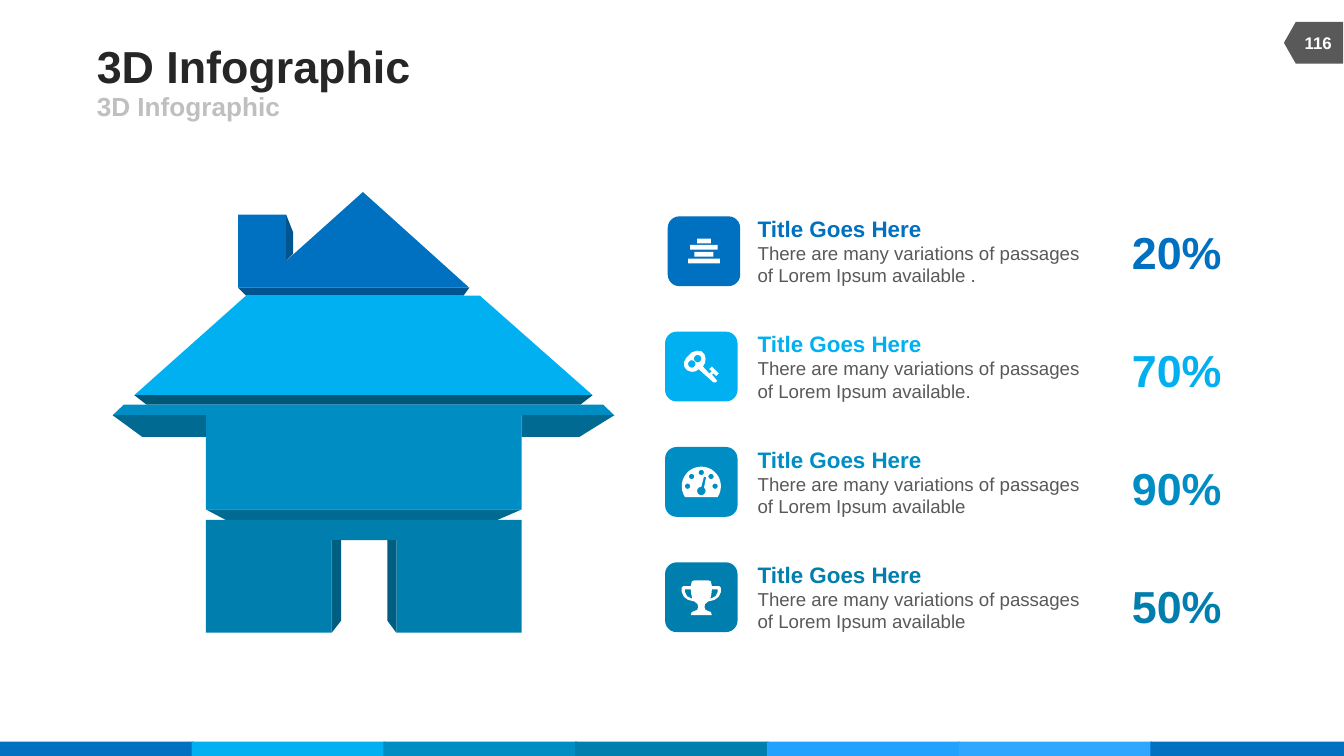
from dataclasses import dataclass
from math import cos, radians, sin

from pptx import Presentation
from pptx.dml.color import RGBColor
from pptx.enum.shapes import MSO_SHAPE
from pptx.enum.text import MSO_ANCHOR, PP_ALIGN
from pptx.util import Cm, Pt


@dataclass(frozen=True)
class Theme:
    font: str = "Arial"
    blue: str = "0070C0"
    blue_shade: str = "005490"
    sky: str = "00B0F0"
    sky_shade: str = "005878"
    ocean: str = "008DC3"
    ocean_shade: str = "006A92"
    teal: str = "007EAE"
    teal_shade: str = "005E82"
    azure: str = "23A1FF"
    azure_light: str = "2FA6FF"
    ink: str = "262626"
    body: str = "595959"
    muted: str = "BFBFBF"
    white: str = "FFFFFF"
    headline_size: int = 24
    subtitle_size: int = 14
    heading_size: int = 12
    body_size: int = 10
    number_size: int = 9


THEME = Theme()
SLIDE_W, SLIDE_H = 25.4, 14.29


def arc(x, y, radius, start=0, end=360, steps=24):
    """Points along a circular arc; angles in degrees, clockwise from the right."""
    angles = [radians(start + (end - start) * i / steps) for i in range(steps + 1)]
    return [(x + radius * cos(a), y + radius * sin(a)) for a in angles]


def mirror(points):
    return [(-x, y) for x, y in reversed(points)]


# Icons: outlines in cm around the centre of their tile
BOOKS = [
    [(-half, top), (half, top), (half, top + 0.09), (-half, top + 0.09)]
    for half, top in [(0.13, -0.24), (0.26, -0.12), (0.18, 0.01), (0.3, 0.14)]
]
KEY = [
    [(-0.05, 0.05), (0.23, 0.3), (0.27, 0.3), (0.3, 0.27), (0.2, 0.15),
     (0.23, 0.13), (0.28, 0.18), (0.33, 0.13), (0.2, 0), (0.15, 0.05),
     (0.2, 0.09), (0.15, 0.13), (0.03, 0), (0.07, -0.07), (0.08, -0.15),
     (0.06, -0.23), (0, -0.29), (-0.08, -0.3), (-0.18, -0.27), (-0.28, -0.17),
     (-0.33, -0.08), (-0.32, 0.01), (-0.27, 0.07), (-0.18, 0.1), (-0.11, 0.09)],
    arc(-0.07, -0.15, 0.07),
    arc(-0.18, -0.05, 0.07),
]
GAUGE = [
    arc(0, 0.08, 0.37, 146, 394),
    *[arc(x, y, 0.05) for x, y in arc(0, 0.08, 0.26, 180, 360, steps=4)],
    arc(0, 0.17, 0.08, -50, 270) + [(0.05, -0.1), (0.09, -0.09)],
]
CUP_HALF = [
    (0.13, -0.32), (0.18, -0.3), (0.2, -0.21), (0.34, -0.21), (0.37, -0.18),
    (0.37, -0.1), (0.33, -0.01), (0.25, 0.05), (0.13, 0.08), (0.07, 0.13),
    (0.06, 0.19), (0.08, 0.24), (0.13, 0.26), (0.18, 0.28), (0.2, 0.34),
]
HANDLE = [(0.2, -0.15), (0.31, -0.15), (0.31, -0.1), (0.27, -0.02),
          (0.17, 0.03), (0.19, -0.06)]
TROPHY = [CUP_HALF + mirror(CUP_HALF), HANDLE, mirror(HANDLE)]

TITLE = SUBTITLE = "3D Infographic"
PAGE_NUMBER = "116"
HEADING = "Title Goes Here"
PASSAGE = "There are many variations of passages of Lorem Ipsum available"
# colour, text, share, icon, left edge of the tile
ITEMS = [
    (THEME.blue, PASSAGE + " .", "20%", BOOKS, 12.62),
    (THEME.sky, PASSAGE + ".", "70%", KEY, 12.57),
    (THEME.ocean, PASSAGE, "90%", GAUGE, 12.57),
    (THEME.teal, PASSAGE, "50%", TROPHY, 12.57),
]
FOOTER = [THEME.blue, THEME.sky, THEME.ocean, THEME.teal,
          THEME.azure, THEME.azure_light, THEME.blue]

# House: colour and outline in cm, from the chimney down to the door
HOUSE = [
    (THEME.blue, [(8.87, 5.44), (4.5, 5.44), (4.5, 4.06), (5.41, 4.06),
                  (5.41, 4.93), (6.86, 3.63)]),
    (THEME.blue_shade, [(5.54, 4.8), (5.41, 4.93), (5.41, 4.06), (5.54, 4.39)]),
    (THEME.blue_shade, [(4.5, 5.44), (8.87, 5.44), (8.76, 5.59), (4.65, 5.59)]),
    (THEME.sky, [(4.65, 5.59), (9.07, 5.59), (11.2, 7.47), (2.54, 7.47)]),
    (THEME.sky_shade, [(2.54, 7.47), (11.2, 7.47), (10.97, 7.65), (2.77, 7.65)]),
    (THEME.ocean, [(2.34, 7.65), (11.4, 7.65), (11.61, 7.85), (9.86, 7.85),
                   (9.86, 9.63), (3.89, 9.63), (3.89, 7.85), (2.13, 7.85)]),
    (THEME.ocean_shade, [(2.13, 7.85), (3.89, 7.85), (3.89, 8.26), (2.69, 8.26)]),
    (THEME.ocean_shade, [(9.86, 7.85), (11.61, 7.85), (10.95, 8.26), (9.86, 8.26)]),
    (THEME.ocean_shade, [(3.89, 9.63), (9.86, 9.63), (9.4, 9.83), (4.27, 9.83)]),
    (THEME.teal, [(3.89, 9.83), (9.86, 9.83), (9.86, 11.96), (7.49, 11.96),
                  (7.49, 10.21), (6.27, 10.21), (6.27, 11.96), (3.89, 11.96)]),
    (THEME.teal_shade, [(7.32, 10.21), (7.49, 10.21), (7.49, 11.96), (7.32, 11.73)]),
    (THEME.teal_shade, [(6.27, 10.21), (6.45, 10.21), (6.45, 11.73), (6.27, 11.96)]),
]


def paint(shape, color):
    shape.shadow.inherit = False
    shape.fill.solid()
    shape.fill.fore_color.rgb = RGBColor.from_string(color)
    shape.line.fill.background()


def add_block(slide, preset, left, top, width, height, color):
    block = slide.shapes.add_shape(preset, Cm(left), Cm(top), Cm(width), Cm(height))
    paint(block, color)
    return block


def add_outline(slide, contours, color, x=0, y=0):
    """Draw closed contours as one shape, moved by x and y; inner contours are holes."""
    units = 1000
    contours = [[((x + px) * units, (y + py) * units) for px, py in contour]
                for contour in contours]
    builder = slide.shapes.build_freeform(*contours[0][0], scale=Cm(1) / units)
    for index, (start, *rest) in enumerate(contours):
        if index:
            builder.move_to(*start)
        builder.add_line_segments(rest, close=True)
    paint(builder.convert_to_shape(), color)


def add_text(slide, left, top, width, height, lines, anchor=MSO_ANCHOR.TOP,
             align=PP_ALIGN.LEFT, wrap=True, inset=True):
    """Add a text box; each line is (text, size, colour, bold)."""
    frame = slide.shapes.add_textbox(Cm(left), Cm(top), Cm(width), Cm(height)).text_frame
    frame.word_wrap = wrap
    frame.vertical_anchor = anchor
    if not inset:
        frame.margin_left = frame.margin_right = 0
        frame.margin_top = frame.margin_bottom = 0
    for index, (text, size, color, bold) in enumerate(lines):
        paragraph = frame.add_paragraph() if index else frame.paragraphs[0]
        paragraph.text = text
        paragraph.alignment = align
        paragraph.font.name = THEME.font
        paragraph.font.size = Pt(size)
        paragraph.font.bold = bold
        paragraph.font.color.rgb = RGBColor.from_string(color)


def add_frame(slide):
    """Add the footer band, the headings and the page number."""
    band_width = 3.66
    pitch = (SLIDE_W - band_width) / (len(FOOTER) - 1)
    for index, color in enumerate(FOOTER):
        add_block(slide, MSO_SHAPE.RECTANGLE, index * pitch, 14.02,
                  band_width, SLIDE_H - 14.02, color)
    tag = add_block(slide, MSO_SHAPE.FLOWCHART_OFFPAGE_CONNECTOR,
                    24.43, 0.25, 0.79, 1.12, THEME.body)
    tag.rotation = 90
    add_text(slide, 1.83, 0.74, 15.67, 0.99,
             [(TITLE, THEME.headline_size, THEME.ink, True)],
             MSO_ANCHOR.MIDDLE, inset=False)
    add_text(slide, 1.83, 1.73, 11.43, 0.56,
             [(SUBTITLE, THEME.subtitle_size, THEME.muted, True)],
             MSO_ANCHOR.MIDDLE, inset=False)
    add_text(slide, 24.38, 0.43, 1.07, 0.76,
             [(PAGE_NUMBER, THEME.number_size, THEME.white, True)],
             MSO_ANCHOR.MIDDLE, PP_ALIGN.CENTER, wrap=False)


def add_items(slide):
    tile_w, tile_h, pitch, share_pitch = 1.37, 1.32, 2.18, 2.23
    for row, (color, text, share, icon, left) in enumerate(ITEMS):
        top = 4.09 + row * pitch
        add_block(slide, MSO_SHAPE.ROUNDED_RECTANGLE, left, top, tile_w, tile_h, color)
        add_outline(slide, icon, THEME.white, left + tile_w / 2, top + tile_h / 2)
        add_text(slide, 14.07, top - 0.15, 6.88, 1.63,
                 [(HEADING, THEME.heading_size, color, True),
                  (text, THEME.body_size, THEME.body, False)])
        add_text(slide, 21.39, 4.24 + row * share_pitch, 1.7, 1.02,
                 [(share, THEME.headline_size, color, True)],
                 MSO_ANCHOR.BOTTOM, PP_ALIGN.CENTER, wrap=False, inset=False)


def main():
    deck = Presentation()
    deck.slide_width, deck.slide_height = Cm(SLIDE_W), Cm(SLIDE_H)
    slide = deck.slides.add_slide(deck.slide_layouts[6])
    add_frame(slide)
    for color, outline in HOUSE:
        add_outline(slide, [outline], color)
    add_items(slide)
    deck.save("out.pptx")


if __name__ == "__main__":
    main()
